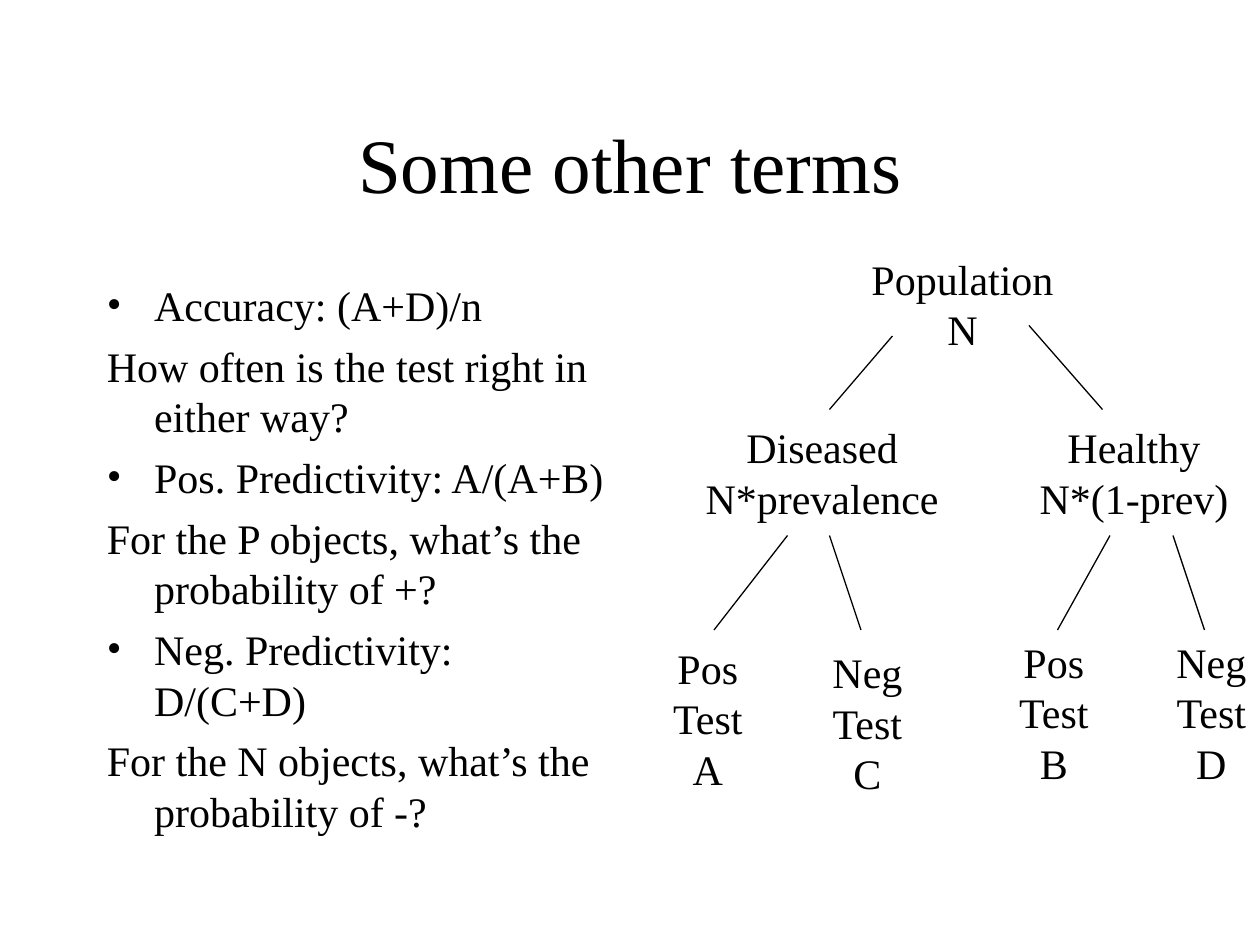
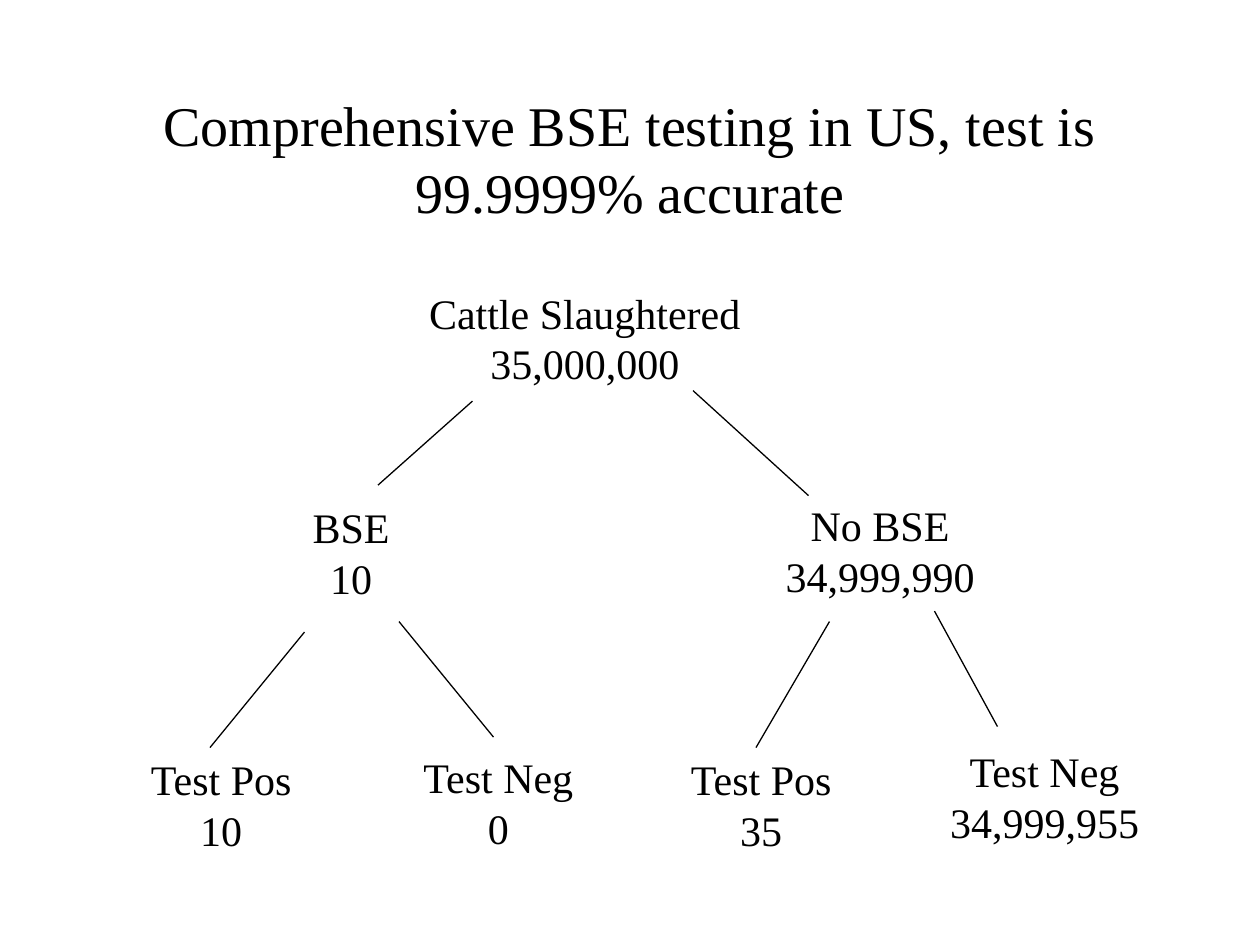
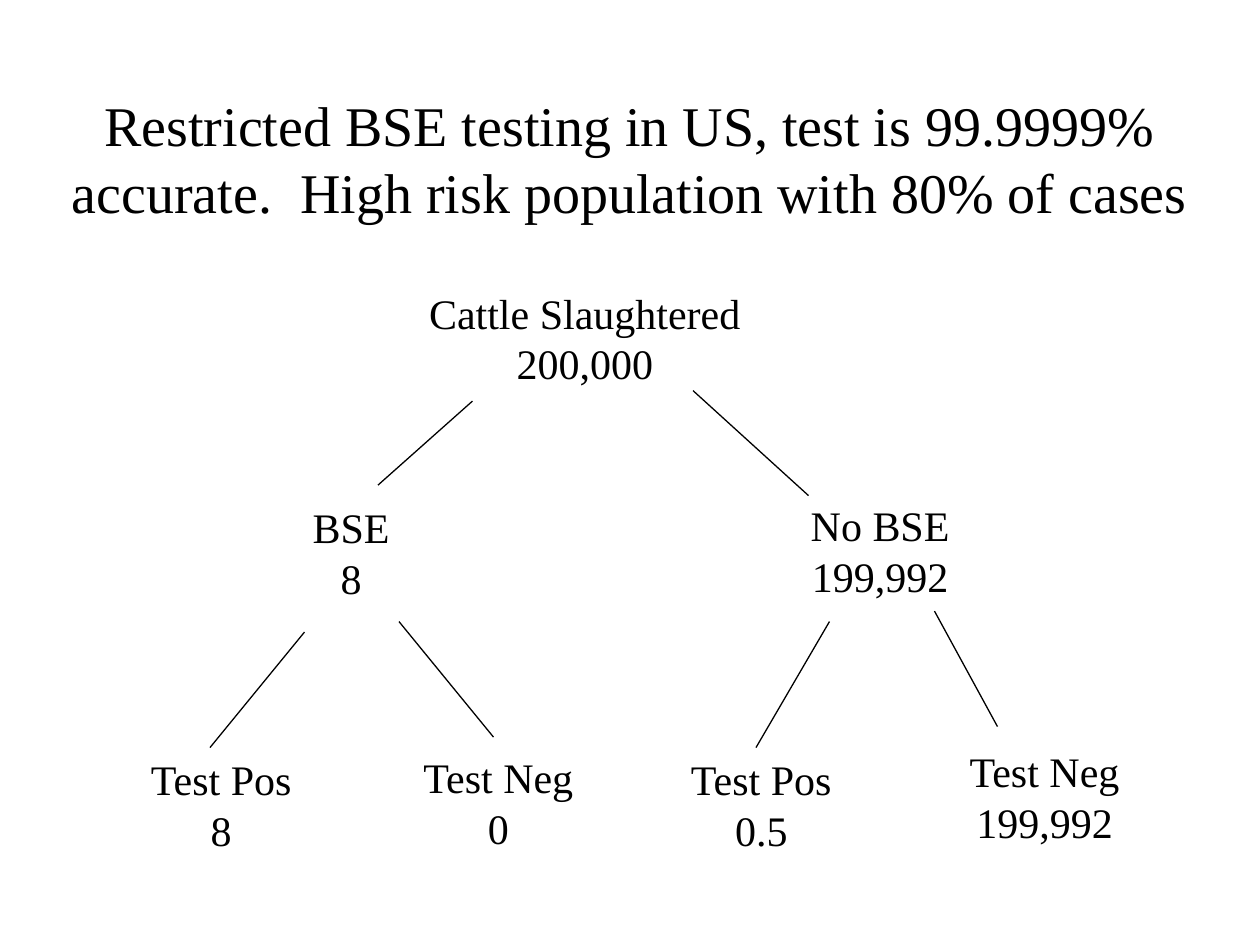
"""Build three slides on test accuracy, each with a tree of counts."""
import pptx
import pptx.dml.color
import pptx.enum.shapes
import pptx.enum.text
import pptx.util
import lxml.etree

Pt = pptx.util.Pt
ALIGN = pptx.enum.text.PP_ALIGN
ANCHOR = pptx.enum.text.MSO_ANCHOR
FIT = pptx.enum.text.MSO_AUTO_SIZE
INK = pptx.dml.color.RGBColor(0, 0, 0)
FONT = "Times New Roman"
A = "{http://schemas.openxmlformats.org/drawingml/2006/main}"

TERMS_TITLE = "Some other terms"
TERMS = [
    ("•", "Accuracy: (A+D)/n"),
    ("", "How often is the test right in either way?"),
    ("•", "Pos. Predictivity: A/(A+B)"),
    ("", "For the P objects, what’s the probability of +?"),
    ("•", "Neg. Predictivity: D/(C+D)"),
    ("", "For the N objects, what’s the probability of -?"),
]
TERM_NODES = [
    ("Population\nN", 120),
    ("Diseased\nN*prevalence", 149),
    ("Healthy\nN*(1-prev)", 124),
    ("Pos\nTest\nA", 56),
    ("Neg\nTest\nC", 56),
    ("Pos\nTest\nB", 56),
    ("Neg\nTest\nD", 56),
]
TERM_SPOTS = [(550, 141.1), (469.8, 237.6), (648, 237.6),
              (404.5, 363.6), (495.7, 366), (602.2, 360.2), (692.2, 360.2)]
TERM_LINES = [(510, 192, 474, 234), (588, 186, 630, 234),
              (450, 306, 408, 360), (474, 306, 492, 360),
              (634.3, 306, 604.3, 360), (670.3, 306, 688.3, 360)]

CASE_LABELS = ["Cattle Slaughtered", "BSE", "No BSE",
               "Test Pos", "Test Neg", "Test Pos", "Test Neg"]
CASES = [
    ("Comprehensive BSE testing in US, test is 99.9999% accurate",
     ["35,000,000", "10", "34,999,990", "10", "0", "35", "34,999,955"],
     [194, 60, 124, 98, 103, 98, 124]),
    ("Restricted BSE testing in US, test is 99.9999% accurate.  "
     "High risk population with 80% of cases",
     ["200,000", "8", "199,992", "8", "0", "0.5", "199,992"],
     [194, 60, 95, 98, 103, 98, 103]),
]
CASE_SPOTS = [(334.2, 160.6), (200.6, 283.3), (502.9, 282.2),
              (126.4, 427.3), (284.8, 426.2), (435, 427.3), (596.9, 422.6)]
CASE_LINES = [(270, 229.2, 216, 277.2), (396, 223.2, 462, 283.2),
              (174, 361.2, 120, 427.2), (228, 355.2, 282, 421.2),
              (474, 355.2, 432, 427.2), (534, 349.2, 570, 415.2)]


def put(slide, text, box, size=24, align=ALIGN.CENTER, wrap=True,
        anchor=ANCHOR.TOP, fit=FIT.NONE, marks=(), hang=0, gap=0):
    """Place text in a box, one paragraph for each line."""
    frame = slide.shapes.add_textbox(*map(Pt, box)).text_frame
    frame.word_wrap = wrap
    frame.auto_size = fit
    frame.vertical_anchor = anchor
    for num, line in enumerate(text.split("\n")):
        para = frame.add_paragraph() if num else frame.paragraphs[0]
        para.alignment = align
        props = para._p.get_or_add_pPr()
        if hang:
            props.set("marL", str(Pt(hang)))
            props.set("indent", str(-Pt(hang)))
        if marks and marks[num]:
            lxml.etree.SubElement(props, A + "buFont", typeface=FONT)
            lxml.etree.SubElement(props, A + "buChar", char=marks[num])
        if num and gap:
            para.space_before = Pt(gap)
        run = para.add_run()
        run.text = line
        run.font.size = Pt(size)
        run.font.name = FONT
        run.font.color.rgb = INK


def tree(slide, nodes, spots, lines):
    """Draw centred nodes and the lines between them."""
    for (text, width), (mid, top) in zip(nodes, spots):
        high = 7.2 + 28.8 * len(text.split("\n"))
        put(slide, text, (mid - width / 2, top, width, high),
            wrap=False, fit=FIT.SHAPE_TO_FIT_TEXT)
    for ends in lines:
        line = slide.shapes.add_connector(
            pptx.enum.shapes.MSO_CONNECTOR.STRAIGHT, *map(Pt, ends))
        line.line.color.rgb = INK
        line.line.width = Pt(0.75)
        lxml.etree.SubElement(line._element.spPr, A + "effectLst")


def main():
    """Build and save the deck."""
    deck = pptx.Presentation()
    deck.slide_width, deck.slide_height = Pt(720), Pt(540)
    blank = deck.slide_layouts[6]

    slide = deck.slides.add_slide(blank)
    put(slide, TERMS_TITLE, (54, 48, 612, 90), size=44, anchor=ANCHOR.MIDDLE)
    marks, texts = zip(*TERMS)
    put(slide, "\n".join(texts), (54, 156, 299.5, 324), align=ALIGN.LEFT,
        marks=marks, hang=27, gap=6)
    tree(slide, TERM_NODES, TERM_SPOTS, TERM_LINES)

    for title, counts, widths in CASES:
        slide = deck.slides.add_slide(blank)
        texts = [f"{label}\n{count}" for label, count in zip(CASE_LABELS, counts)]
        tree(slide, zip(texts, widths), CASE_SPOTS, CASE_LINES)
        put(slide, title, (30, 48, 660, 84), size=32, fit=FIT.SHAPE_TO_FIT_TEXT)

    deck.save("out.pptx")


if __name__ == "__main__":
    main()
